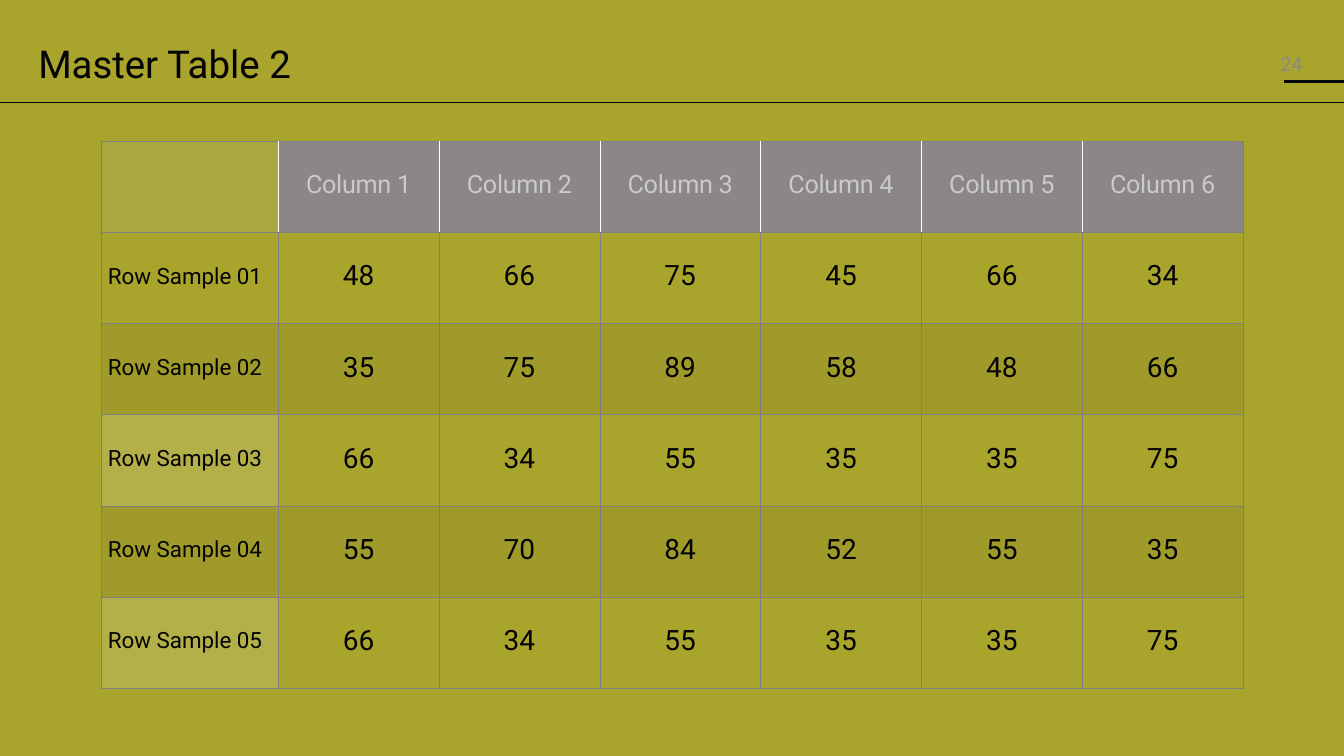
"""Build the "Master Table 2" slide: title, rules, page number and a sample table."""
from lxml.etree import SubElement
from pptx import Presentation
from pptx.dml.color import RGBColor
from pptx.enum.shapes import MSO_CONNECTOR
from pptx.enum.text import MSO_ANCHOR, PP_ALIGN
from pptx.oxml.ns import qn
from pptx.util import Inches, Pt

COLORS = {"bg": "A9A42C", "ink": "040404", "header": "8C8787", "header_text": "CACACA",
          "light": "F2F3F5", "corner": "B0BFBF", "border": "7F7F7F", "white": "FFFFFF"}
HEADERS = ["", *(f"Column {n}" for n in range(1, 7))]
VALUES = [
    [48, 66, 75, 45, 66, 34],
    [35, 75, 89, 58, 48, 66],
    [66, 34, 55, 35, 35, 75],
    [55, 70, 84, 52, 55, 35],
    [66, 34, 55, 35, 35, 75],
]
ROWS = [HEADERS] + [[f"Row Sample {n:02}", *map(str, row)]
                    for n, row in enumerate(VALUES, 1)]


def write(tf, text, size, color="ink", align=PP_ALIGN.LEFT, spacing=0.8, inset=0.07,
          anchor=MSO_ANCHOR.MIDDLE):
    """Put one formatted paragraph into a text frame or table cell."""
    tf.margin_left = tf.margin_right = tf.margin_top = tf.margin_bottom = Inches(inset)
    tf.vertical_anchor = anchor
    tf.word_wrap = True
    p = getattr(tf, "text_frame", tf).paragraphs[0]
    p.alignment = align
    p.line_spacing = spacing
    r = p.add_run()
    r.text = text
    r.font.size = Pt(size)
    r.font.name = "Roboto"
    r.font.color.rgb = RGBColor.from_string(COLORS[color])
    return r


def paint(parent, color, alpha):
    """Add a solid fill with the given opacity in percent."""
    fill = SubElement(parent, qn("a:solidFill"))
    clr = SubElement(fill, qn("a:srgbClr"), val=COLORS[color])
    SubElement(clr, qn("a:alpha"), val=str(alpha * 1000))


prs = Presentation()
prs.slide_width, prs.slide_height = Inches(13.33), Inches(7.5)
s = prs.slides.add_slide(prs.slide_layouts[5])
s.background.fill.solid()
s.background.fill.fore_color.rgb = RGBColor.from_string(COLORS["bg"])

for left, y, width in [(12.73, 0.81, 2), (0, 1.02, 0.5)]:
    line = s.shapes.add_connector(MSO_CONNECTOR.STRAIGHT, Inches(left), Inches(y),
                                  prs.slide_width, Inches(y))
    line.line.color.rgb = RGBColor.from_string(COLORS["ink"])
    line.line.width = Pt(width)
    SubElement(line._element.spPr, qn("a:effectLst"))

title = s.shapes.title
title.left, title.top, title.width, title.height = map(Inches, (0.33, 0.45, 11.43, 0.54))
write(title.text_frame, "Master Table 2", 27.4, spacing=0.75, inset=0.05,
      anchor=MSO_ANCHOR.TOP)

number = s.shapes.add_textbox(Inches(12.4), Inches(0.45), Inches(0.57), Inches(0.36))
write(number.text_frame, "24", 14, "header", PP_ALIGN.RIGHT, spacing=1, inset=0.05)

frame = s.shapes.add_table(len(ROWS), len(HEADERS), Inches(1), Inches(1.4),
                           Inches(11.33), Inches(5.43))
table = frame.table
table.first_row = table.horz_banding = False
for c, column in enumerate(table.columns):
    column.width = Inches(1.595 if c else 1.76)
for row in table.rows:
    row.height = Inches(5.43 / len(ROWS))

for r, texts in enumerate(ROWS):
    for c, text in enumerate(texts):
        cell = table.cell(r, c)
        size = 18 if r == 0 else 20 if c else 16
        if text:
            run = write(cell, text, size, "ink" if r else "header_text",
                        PP_ALIGN.CENTER if c else PP_ALIGN.LEFT)
            if r == 0:
                run.font._element.set("spc", "-20")
        tcPr = cell._tc.get_or_add_tcPr()
        for side in ("L", "R", "T", "B"):
            divider = r == 0 and ((side == "L" and c > 0)
                                  or (side == "R" and c < len(HEADERS) - 1))
            ln = SubElement(tcPr, qn(f"a:ln{side}"), w=str(Pt(0.5)))
            paint(ln, "white" if divider else "border", 100 if divider else 50)
        if r == 0:
            paint(tcPr, *(("header", 100) if c else ("corner", 15)))
        elif r % 2 == 0:
            paint(tcPr, "ink", 6)
        elif c == 0 and r > 1:
            paint(tcPr, "light", 15)
        else:
            cell.fill.background()

prs.save("out.pptx")
